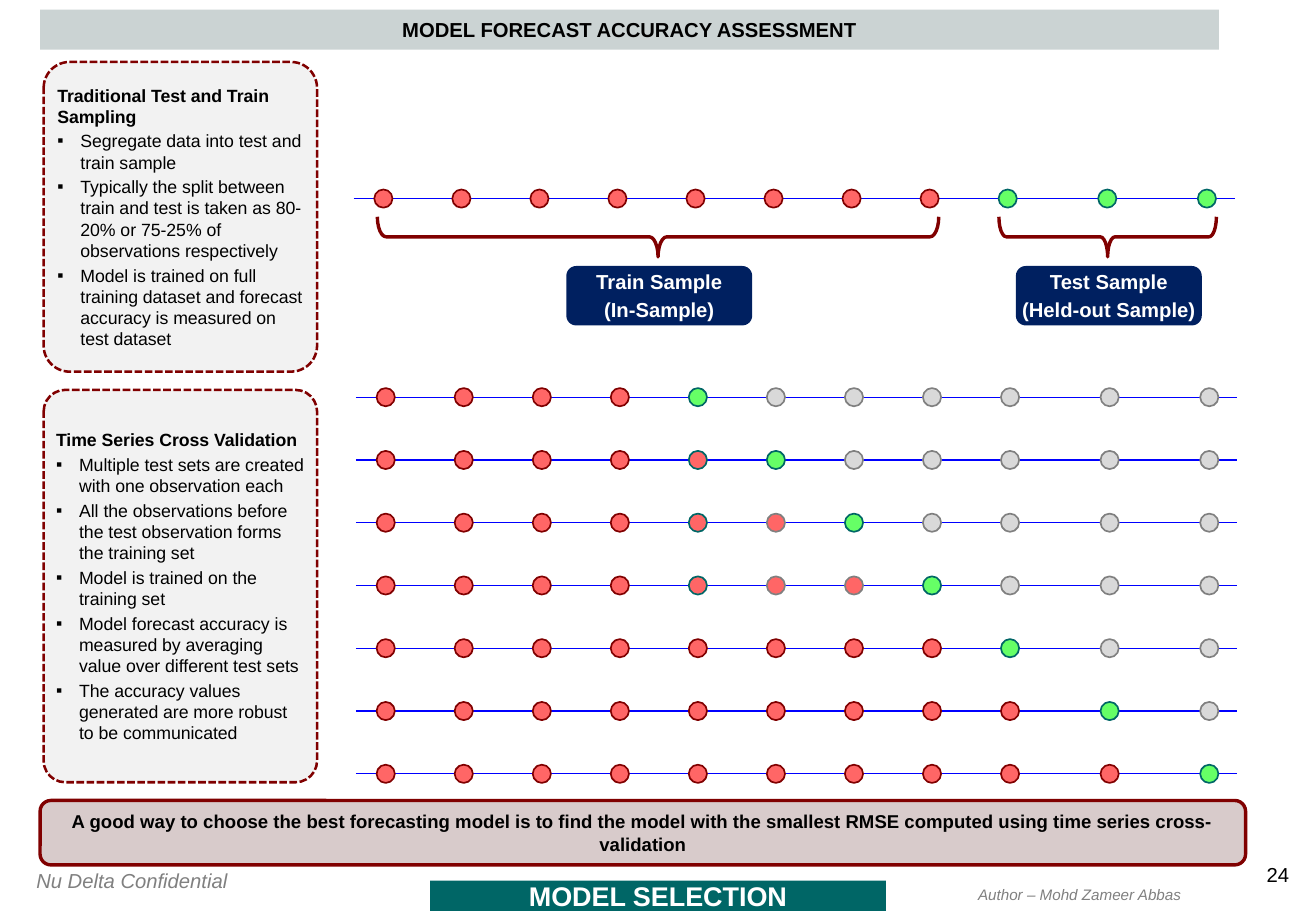
"""Build the slide on model forecast accuracy assessment."""
from dataclasses import dataclass
from typing import Any, NamedTuple

from lxml.etree import SubElement
from pptx import Presentation
from pptx.dml.color import RGBColor
from pptx.enum.dml import MSO_LINE_DASH_STYLE as Dash
from pptx.enum.shapes import MSO_AUTO_SHAPE_TYPE as Kind, MSO_CONNECTOR_TYPE as Connector
from pptx.enum.text import MSO_VERTICAL_ANCHOR as Anchor, PP_PARAGRAPH_ALIGNMENT as Align
from pptx.oxml.ns import qn
from pptx.util import Emu, Inches, Pt


@dataclass(frozen=True)
class Theme:
    font: str = "Arial"
    black: str = "000000"
    white: str = "FFFFFF"
    gray: str = "808080"
    light_gray: str = "D9D9D9"
    panel: str = "F2F2F2"
    title_bar: str = "CBD3D3"
    conclusion: str = "D8CBCB"
    maroon: str = "800000"
    red: str = "FF6666"
    green: str = "66FF66"
    teal: str = "006666"
    navy: str = "002060"
    blue: str = "0000FF"
    banner_size: float = 16
    title_size: float = 12
    conclusion_size: float = 11
    body_size: float = 10.5
    author_size: float = 9


class Box(NamedTuple):
    """Left, top, width and height in percent of the slide."""
    left: float
    top: float
    width: float
    height: float


@dataclass(frozen=True)
class Style:
    kind: Any = None
    fill: str | None = None
    line: str | None = None
    line_width: float = 1
    dash: Any = None
    size: float = 12
    color: str = "000000"
    bold: bool = False
    italic: bool = False
    align: Any = Align.LEFT
    anchor: Any = Anchor.MIDDLE
    wrap: bool = True
    inset: tuple[float, float] = (3.6, 3.6)


@dataclass(frozen=True)
class Block:
    box: Box
    style: Style
    heading: tuple[str, ...]
    bullets: tuple[str, ...] = ()
    adjustment: float | None = None


class Timeline(NamedTuple):
    left: float
    middle: float
    dots: str


THEME = Theme()
SLIDE_WIDTH, SLIDE_HEIGHT = Inches(10.83), Inches(7.5)
LINE_LENGTH, FIRST_DOT, NEAR_STEP, FAR_STEP, DOT_SIZE = 66.94, 2.26, 5.93, 7.57, 2
LAST_NEAR_DOT = 8
FIRST_ROW, ROW_STEP = 43.6, 6.89

PANEL = Style(Kind.ROUNDED_RECTANGLE, THEME.panel, THEME.maroon, 1.5, Dash.SQUARE_DOT, THEME.body_size)
LABEL = Style(Kind.ROUNDED_RECTANGLE, THEME.navy, size=THEME.title_size, color=THEME.white,
              bold=True, align=Align.CENTER, wrap=False)
BANNER = Style(Kind.RECTANGLE, THEME.teal, size=THEME.banner_size, color=THEME.white,
               bold=True, align=Align.CENTER, wrap=False)
TITLE = Style(Kind.RECTANGLE, THEME.title_bar, size=THEME.title_size, bold=True,
              align=Align.CENTER, wrap=False)
CONCLUSION = Style(Kind.ROUNDED_RECTANGLE, THEME.conclusion, THEME.maroon, 2,
                   size=THEME.conclusion_size, bold=True, align=Align.CENTER)
FOOTER = Style(size=THEME.title_size, color=THEME.gray, italic=True, anchor=Anchor.TOP, inset=(7.2, 3.6))
AUTHOR = Style(size=THEME.author_size, color=THEME.gray, italic=True, anchor=Anchor.TOP, inset=(7.2, 3.6))
PAGE_NUMBER = Style(size=THEME.title_size, align=Align.RIGHT, anchor=Anchor.TOP, wrap=False, inset=(0, 0))
BRACE = Style(Kind.RIGHT_BRACE, None, THEME.maroon, 2)

DOT_STYLES = {code: Style(Kind.OVAL, fill, line) for code, fill, line in (
    ("T", THEME.red, THEME.maroon),
    ("S", THEME.green, THEME.teal),
    ("F", THEME.light_gray, THEME.gray),
    ("t", THEME.red, THEME.teal),
    ("g", THEME.red, THEME.gray),
)}
VALIDATION_ROWS = ("TTTTSFFFFFF", "TTTTtSFFFFF", "TTTTtgSFFFF", "TTTTtggSFFF",
                   "TTTTTTTTSFF", "TTTTTTTTTSF", "TTTTTTTTTTS")
TIMELINES = [Timeline(26.87, 21.8, "TTTTTTTTSSS")] + [
    Timeline(27.05, FIRST_ROW + row * ROW_STEP, dots) for row, dots in enumerate(VALIDATION_ROWS)]
BRACES = ((Box(28.67, 23.8, 42.66, 4.4), 0.218), (Box(75.9, 23.8, 16.53, 4.4), 0.184))

BLOCKS = (
    Block(Box(96.03, 94.67, 1.94, 2.67), PAGE_NUMBER, ("24",)),
    Block(Box(1.85, 94.67, 18.47, 4), FOOTER, ("Nu Delta Confidential",)),
    Block(Box(73.41, 96.53, 18.47, 3.33), AUTHOR, ("Author – Mohd Zameer Abbas",)),
    Block(Box(32.69, 96.67, 34.63, 3.33), BANNER, ("MODEL SELECTION",)),
    Block(Box(3.05, 1.07, 89.57, 4.4), TITLE, ("MODEL FORECAST ACCURACY ASSESSMENT",)),
    Block(Box(3.32, 6.8, 20.78, 34), PANEL, ("Traditional Test and Train Sampling",), (
        "Segregate data into test and train sample",
        "Typically the split between train and test is taken as 80-20% or 75-25% of observations respectively",
        "Model is trained on full training dataset and forecast accuracy is measured on test dataset",
    ), 0.095),
    Block(Box(3.32, 42.8, 20.78, 43.07), PANEL, ("Time Series Cross Validation",), (
        "Multiple test sets are created with one observation each",
        "All the observations before the test observation forms the training set",
        "Model is trained on the training set",
        "Model forecast accuracy is measured by averaging value over different test sets",
        "The accuracy values generated are more robust to be communicated",
    ), 0.079),
    Block(Box(43.03, 29.2, 14.13, 6.53), LABEL, ("Train Sample", "(In-Sample)")),
    Block(Box(77.19, 29.2, 14.13, 6.53), LABEL, ("Test Sample", "(Held-out Sample)")),
    Block(Box(3.05, 87.87, 91.6, 7.07), CONCLUSION, (
        "A good way to choose the best forecasting model is to find the model with the smallest RMSE "
        "computed using time series cross-validation",)),
)


def across(share: float) -> Emu:
    """Turn a percentage of the slide width into a length."""
    return Emu(round(SLIDE_WIDTH * share / 100))


def down(share: float) -> Emu:
    """Turn a percentage of the slide height into a length."""
    return Emu(round(SLIDE_HEIGHT * share / 100))


def apply(target: Any, values: dict[str, Any]) -> None:
    """Set every named attribute on the target."""
    for name, value in values.items():
        setattr(target, name, value)


def add_styled_shape(shapes: Any, style: Style, *frame: int) -> Any:
    """Add a shape or text box with its fill and outline."""
    if style.kind is None:
        return shapes.add_textbox(*frame)
    shape = shapes.add_shape(style.kind, *frame)
    shape.shadow.inherit = False
    for paint, color in ((shape.fill, style.fill), (shape.line.fill, style.line)):
        if color is None:
            paint.background()
        else:
            paint.solid()
            paint.fore_color.rgb = RGBColor.from_string(color)
    if style.line:
        apply(shape.line, {"width": Pt(style.line_width), "dash_style": style.dash})
    return shape


def add_bullet(paragraph: Any) -> None:
    """Give the paragraph a square bullet with a hanging indent."""
    properties = paragraph._p.get_or_add_pPr()
    indent = Inches(0.19)
    properties.set("marL", str(indent))
    properties.set("indent", str(-indent))
    SubElement(properties, qn("a:buFont"), typeface=THEME.font)
    SubElement(properties, qn("a:buChar"), char="▪")


def add_block(shapes: Any, block: Block) -> None:
    """Add a block with its heading lines and bullets."""
    box, style = block.box, block.style
    shape = add_styled_shape(shapes, style, across(box.left), down(box.top), across(box.width), down(box.height))
    if block.adjustment is not None:
        shape.adjustments[0] = block.adjustment
    frame = shape.text_frame
    side, edge = map(Pt, style.inset)
    apply(frame, {"word_wrap": style.wrap, "vertical_anchor": style.anchor, "margin_left": side,
                  "margin_right": side, "margin_top": edge, "margin_bottom": edge})
    for index, text in enumerate(block.heading + block.bullets):
        paragraph = frame.add_paragraph() if index else frame.paragraphs[0]
        is_bullet = index >= len(block.heading)
        if is_bullet:
            add_bullet(paragraph)
        apply(paragraph, {"alignment": style.align, "space_before": Pt(2 if index else 0)})
        run = paragraph.add_run()
        run.text = text
        is_bold = style.bold or (bool(block.bullets) and not is_bullet)
        apply(run.font, {"name": THEME.font, "size": Pt(style.size), "bold": is_bold, "italic": style.italic})
        run.font.color.rgb = RGBColor.from_string(style.color)


def add_timeline(shapes: Any, timeline: Timeline) -> None:
    """Add a grouped line with one dot for each observation."""
    group = shapes.add_group_shape().shapes
    middle = down(timeline.middle)
    line = group.add_connector(Connector.STRAIGHT, across(timeline.left), middle,
                               across(timeline.left + LINE_LENGTH), middle)
    line.line.width = Pt(0.75)
    line.line.color.rgb = RGBColor.from_string(THEME.blue)
    SubElement(line._element.spPr, qn("a:effectLst"))
    size = down(DOT_SIZE)
    for column, code in enumerate(timeline.dots):
        near = min(column, LAST_NEAR_DOT)
        center = across(timeline.left + FIRST_DOT + near * NEAR_STEP + (column - near) * FAR_STEP)
        add_styled_shape(group, DOT_STYLES[code], center - size // 2, middle - size // 2, size, size)


def add_brace(shapes: Any, box: Box, curve: float) -> None:
    """Add a brace that opens upward and fills the box."""
    width, height = across(box.width), down(box.height)
    shift = (width - height) // 2
    brace = add_styled_shape(shapes, BRACE, across(box.left) + shift, down(box.top) - shift, height, width)
    brace.rotation = 90
    brace.adjustments[0] = curve


def main() -> None:
    """Build and save the presentation."""
    presentation = Presentation()
    apply(presentation, {"slide_width": SLIDE_WIDTH, "slide_height": SLIDE_HEIGHT})
    shapes = presentation.slides.add_slide(presentation.slide_layouts[6]).shapes
    for timeline in TIMELINES:
        add_timeline(shapes, timeline)
    for box, curve in BRACES:
        add_brace(shapes, box, curve)
    for block in BLOCKS:
        add_block(shapes, block)
    presentation.save("out.pptx")


if __name__ == "__main__":
    main()
